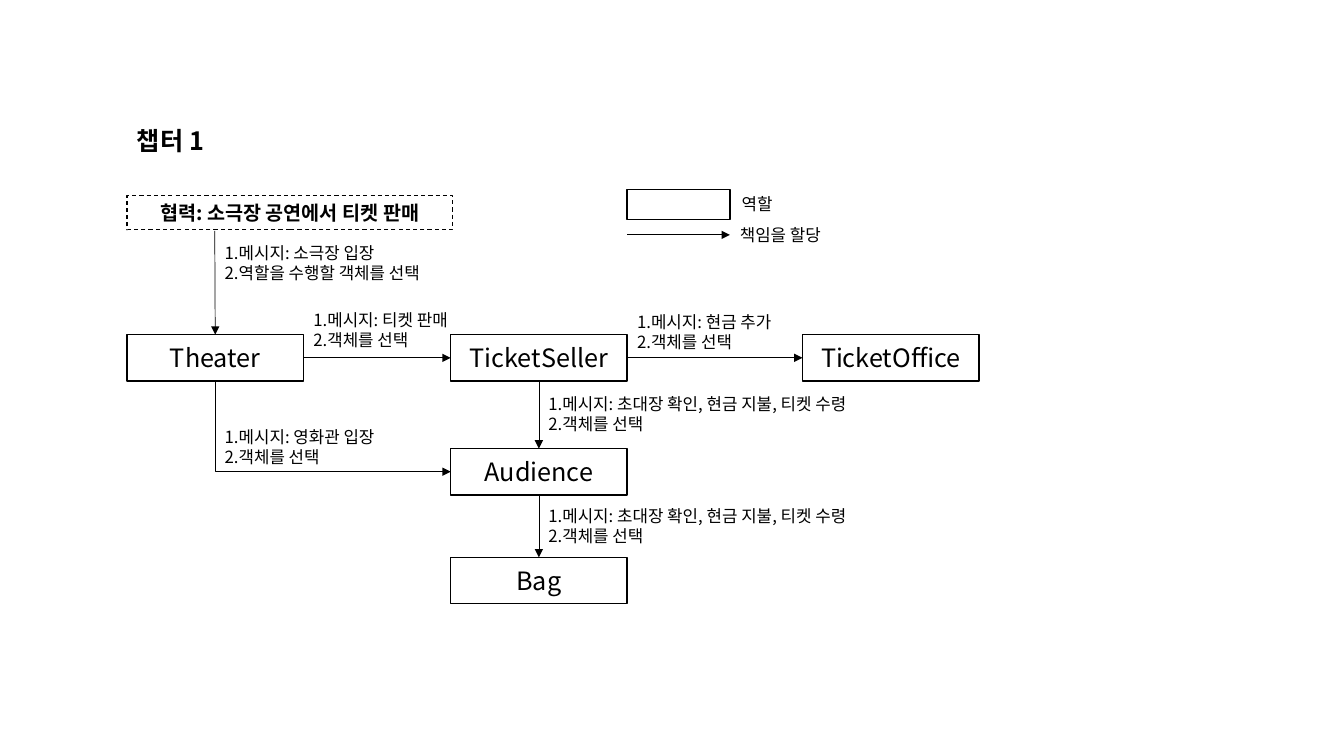
from lxml import etree
from pptx import Presentation
from pptx.dml.color import RGBColor
from pptx.enum.dml import MSO_LINE
from pptx.enum.shapes import MSO_CONNECTOR, MSO_SHAPE
from pptx.enum.text import MSO_ANCHOR, MSO_AUTO_SIZE, PP_ALIGN
from pptx.oxml.ns import qn
from pptx.util import Inches, Pt

RECT = MSO_SHAPE.RECTANGLE
LINE, ELBOW = MSO_CONNECTOR.STRAIGHT, MSO_CONNECTOR.ELBOW
LEFT, MID = PP_ALIGN.LEFT, PP_ALIGN.CENTER
TOP, CENTER = MSO_ANCHOR.TOP, MSO_ANCHOR.MIDDLE
GROW, DASH = MSO_AUTO_SIZE.SHAPE_TO_FIT_TEXT, MSO_LINE.DASH
BLACK = RGBColor(0, 0, 0)
FONT = "Noto Sans CJK KR"

# Content
TITLE = "챕터 1"
GOAL = "협력: 소극장 공연에서 티켓 판매"
PICK = "객체를 선택"
PAY = "메시지: 초대장 확인, 현금 지불, 티켓 수령"
ROLES = {  # name: (left, top)
    "Theater": (1.26, 3.32),
    "TicketSeller": (4.47, 3.32),
    "TicketOffice": (7.96, 3.32),
    "Audience": (4.47, 4.45),
    "Bag": (4.47, 5.53),
}
UP, WEST, DOWN, EAST = range(4)  # connection sites of a rectangle
CALLS = [  # from, site, to, site
    ("Theater", EAST, "TicketSeller", WEST),
    ("TicketSeller", EAST, "TicketOffice", WEST),
    ("TicketSeller", DOWN, "Audience", UP),
    ("Audience", DOWN, "Bag", UP),
    ("Theater", DOWN, "Audience", WEST),
]
NOTES = [  # left, top, width, numbered lines
    (2.13, 2.36, 2.51, ("메시지: 소극장 입장", "역할을 수행할 객체를 선택")),
    (3.01, 3.02, 1.79, ("메시지: 티켓 판매", PICK)),
    (6.22, 3.04, 1.79, ("메시지: 현금 추가", PICK)),
    (5.34, 3.86, 3.58, (PAY, PICK)),
    (5.34, 4.97, 3.58, (PAY, PICK)),
    (2.13, 4.18, 1.95, ("메시지: 영화관 입장", PICK)),
]
LEGEND = [  # left, top, width, text, alignment
    (7.24, 1.87, 0.54, "역할", MID),
    (7.24, 2.18, 1.1, "책임을 할당", LEFT),
]
WIDE, HIGH = 1.75, 0.46

deck = Presentation()
deck.slide_width, deck.slide_height = Inches(13.33), Inches(7.5)
slide = deck.slides.add_slide(deck.slide_layouts[6])
shapes = slide.shapes


def write(frame, lines, size, align=LEFT, bold=False, number=False):
    for i, line in enumerate(lines):
        para = frame.paragraphs[0] if i == 0 else frame.add_paragraph()
        para.alignment = align
        run = para.add_run()
        run.text = line
        font = run.font
        font.name, font.size, font.bold = FONT, Pt(size), bold
        font.color.rgb = BLACK
        east = etree.SubElement(run._r.get_or_add_rPr(), qn("a:ea"))
        east.set("typeface", FONT)
        if number:
            props = para._p.get_or_add_pPr()
            props.set("marL", "0")
            props.set("indent", str(-Inches(0.2)))
            mark = etree.SubElement(props, qn("a:buAutoNum"))
            mark.set("type", "arabicPeriod")


def box(x, y, w, h, weight=1):
    rect = shapes.add_shape(RECT, Inches(x), Inches(y), Inches(w), Inches(h))
    rect.shadow.inherit = False
    rect.fill.background()
    rect.line.color.rgb = BLACK
    rect.line.width = Pt(weight)
    return rect


def label(x, y, w, h, lines, size, wrap=True, **style):
    area = shapes.add_textbox(Inches(x), Inches(y), Inches(w), Inches(h))
    area.text_frame.word_wrap = wrap
    area.text_frame.auto_size = GROW
    write(area.text_frame, lines, size, **style)


def arrow(x1=0, y1=0, x2=0, y2=0, kind=LINE):
    link = shapes.add_connector(kind, Inches(x1), Inches(y1), Inches(x2), Inches(y2))
    link.line.color.rgb = BLACK
    link.line.width = Pt(0.5)
    tail = etree.SubElement(link.line._get_or_add_ln(), qn("a:tailEnd"))
    tail.set("type", "triangle")
    etree.SubElement(link._element.spPr, qn("a:effectLst"))
    return link


def corner(link):
    """Turn a glued elbow into one bend: down first, then right."""
    x, y, w, h = link.left, link.top, link.width, link.height
    link.left, link.top = x + (w - h) // 2, y + (h - w) // 2
    link.width, link.height = h, w
    props = link._element.spPr
    props.find(qn("a:prstGeom")).set("prst", "bentConnector2")
    frame = props.find(qn("a:xfrm"))
    frame.set("rot", str(270 * 60000))
    frame.set("flipH", "1")


# Title and goal
label(1.26, 1.19, 1.6, 0.4, [TITLE], 18, bold=True)
goal = box(1.26, 1.94, 3.23, 0.34, 0.75)
goal.line.dash_style = DASH
goal.text_frame.vertical_anchor = TOP
goal.text_frame.auto_size = GROW
write(goal.text_frame, [GOAL], 14, align=MID, bold=True)

# Roles
roles = {}
for name, (x, y) in ROLES.items():
    roles[name] = box(x, y, WIDE, HIGH)
    roles[name].text_frame.vertical_anchor = CENTER
    write(roles[name].text_frame, [name], 18, align=MID)

# Messages between roles
arrow(2.13, 2.29, 2.13, 3.32).end_connect(roles["Theater"], UP)
for start, out, end, into in CALLS:
    bent = out == DOWN and into == WEST
    link = arrow(kind=ELBOW if bent else LINE)
    link.begin_connect(roles[start], out)
    link.end_connect(roles[end], into)
    if bent:
        corner(link)
for x, y, w, lines in NOTES:
    label(x, y, w, 0.5, lines, 12, number=True)

# Legend
box(6.22, 1.88, 1.02, 0.3)
arrow(6.22, 2.33, 7.24, 2.33)
for x, y, w, text, align in LEGEND:
    label(x, y, w, 0.3, [text], 12, wrap=False, align=align)

deck.save("out.pptx")
